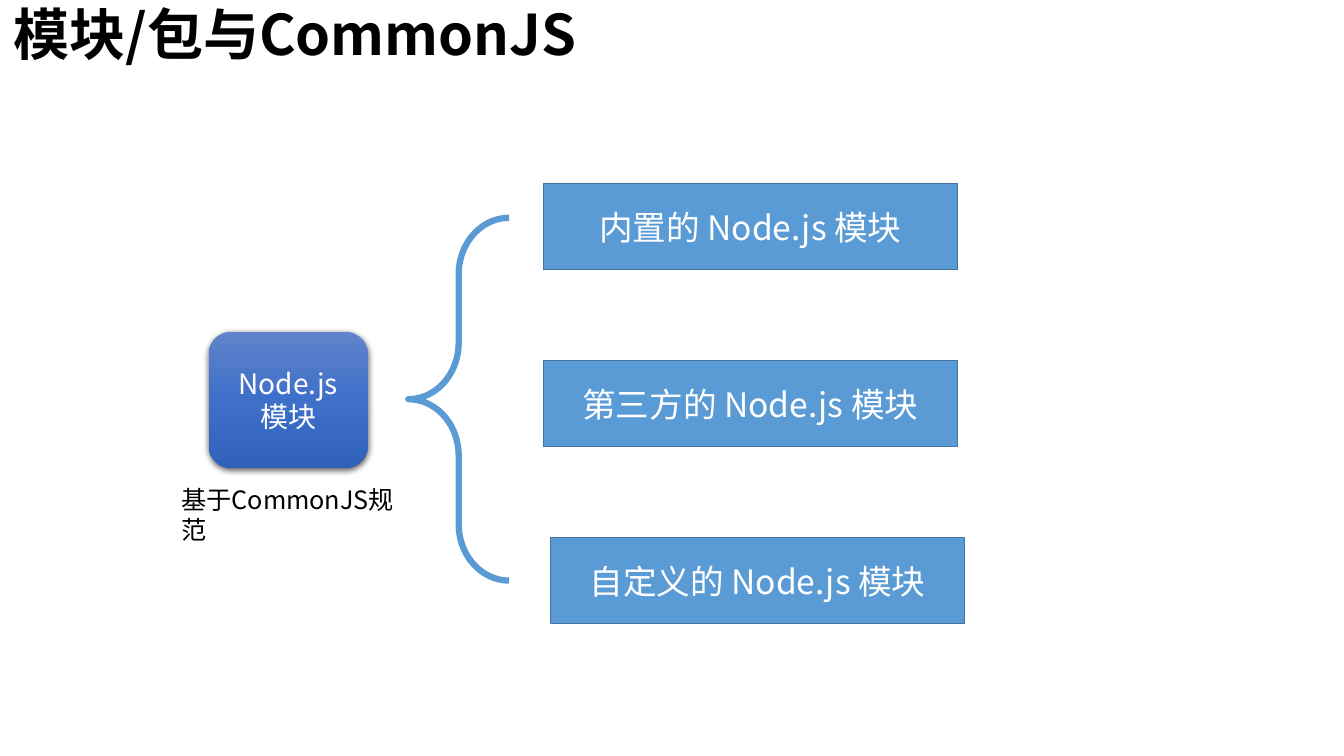
"""Build the slide on modules, packages and CommonJS."""
from copy import deepcopy
from dataclasses import dataclass

from lxml.etree import SubElement
from pptx import Presentation
from pptx.dml.color import RGBColor
from pptx.enum.shapes import MSO_SHAPE
from pptx.enum.text import MSO_ANCHOR, PP_ALIGN
from pptx.oxml.ns import qn
from pptx.shapes.autoshape import Shape
from pptx.slide import Slide
from pptx.util import Cm, Pt

FONT = "Noto Sans CJK SC"
COLORS = {
    "text": "000000",
    "light": "FFFFFF",
    "module": "5B9BD5",
    "border": "43739E",
    "root_top": "6183CB",
    "root_middle": "3E70CA",
    "root_bottom": "3062BB",
}
MODULE_TOP = 4.62
MODULE_PITCH = 4.46


@dataclass(frozen=True)
class Box:
    left: float
    top: float
    width: float
    height: float

    def lengths(self) -> tuple[Cm, Cm, Cm, Cm]:
        return Cm(self.left), Cm(self.top), Cm(self.width), Cm(self.height)


@dataclass(frozen=True)
class Module:
    text: str
    left: float = 13.69


MODULES = (
    Module("内置的 Node.js 模块"),
    Module("第三方的 Node.js 模块"),
    Module("自定义的 Node.js 模块", left=13.87),
)


def color(name: str) -> RGBColor:
    return RGBColor.from_string(COLORS[name])


def write_text(shape: Shape, text: str, *, size: int, color_name: str = "light",
               bold: bool = False, align: PP_ALIGN = PP_ALIGN.CENTER,
               anchor: MSO_ANCHOR = MSO_ANCHOR.MIDDLE, line_spacing: float = 1.0) -> None:
    frame = shape.text_frame
    frame.word_wrap = True
    frame.vertical_anchor = anchor
    paragraph = frame.paragraphs[0]
    paragraph.alignment = align
    paragraph.line_spacing = line_spacing
    run = paragraph.add_run()
    run.text = text
    run.font.name = FONT
    run.font.size = Pt(size)
    run.font.bold = bold
    run.font.color.rgb = color(color_name)
    SubElement(run.font._element, qn("a:ea"), typeface=FONT)


def add_label(slide: Slide, box: Box, text: str, *, size: int,
              bold: bool = False, line_spacing: float = 1.0) -> None:
    shape = slide.shapes.add_textbox(*box.lengths())
    write_text(shape, text, size=size, color_name="text", bold=bold,
               align=PP_ALIGN.LEFT, anchor=MSO_ANCHOR.TOP, line_spacing=line_spacing)


def add_preset(slide: Slide, preset: MSO_SHAPE, box: Box) -> Shape:
    shape = slide.shapes.add_shape(preset, *box.lengths())
    shape.shadow.inherit = False
    return shape


def add_soft_shadow(shape: Shape) -> None:
    effects = shape._element.spPr.find(qn("a:effectLst"))
    shadow = SubElement(effects, qn("a:outerShdw"), blurRad=str(Pt(4.5)),
                        dist=str(Pt(1.5)), dir="5400000", algn="ctr", rotWithShape="0")
    shade = SubElement(shadow, qn("a:srgbClr"), val=COLORS["text"])
    SubElement(shade, qn("a:alpha"), val="63000")


def add_root(slide: Slide, box: Box) -> None:
    shape = add_preset(slide, MSO_SHAPE.ROUNDED_RECTANGLE, box)
    shape.line.fill.background()
    shape.fill.gradient()
    shape.fill.gradient_angle = 270
    first_stop = shape._element.spPr.find(f".//{qn('a:gs')}")
    first_stop.addnext(deepcopy(first_stop))
    names = ("root_top", "root_middle", "root_bottom")
    for index, (stop, name) in enumerate(zip(shape.fill.gradient_stops, names)):
        stop.position = index / 2
        stop.color.rgb = color(name)
    add_soft_shadow(shape)
    write_text(shape, "Node.js模块", size=20)


def add_brace(slide: Slide, box: Box) -> None:
    shape = add_preset(slide, MSO_SHAPE.LEFT_BRACE, box)
    shape.adjustments[0] = 0.56
    shape.fill.background()
    shape.line.color.rgb = color("module")
    shape.line.width = Pt(4.5)


def add_module(slide: Slide, module: Module, row: int) -> None:
    box = Box(module.left, MODULE_TOP + row * MODULE_PITCH, 10.44, 2.18)
    shape = add_preset(slide, MSO_SHAPE.RECTANGLE, box)
    shape.fill.solid()
    shape.fill.fore_color.rgb = color("module")
    shape.line.color.rgb = color("border")
    shape.line.width = Pt(1)
    write_text(shape, module.text, size=24)


def main() -> None:
    presentation = Presentation()
    presentation.slide_width = Cm(33.87)
    presentation.slide_height = Cm(19.05)
    slide = presentation.slides.add_slide(presentation.slide_layouts[6])
    add_label(slide, Box(0.1, 0.05, 33.71, 2.51), "模块/包与CommonJS",
              size=40, bold=True, line_spacing=0.9)
    add_root(slide, Box(5.26, 8.36, 4.01, 3.43))
    add_brace(slide, Box(10.29, 5.49, 2.54, 9.14))
    for row, module in enumerate(MODULES):
        add_module(slide, module, row)
    add_label(slide, Box(4.32, 12.07, 6.35, 1.02), "基于CommonJS规范", size=18)
    presentation.save("out.pptx")


if __name__ == "__main__":
    main()
